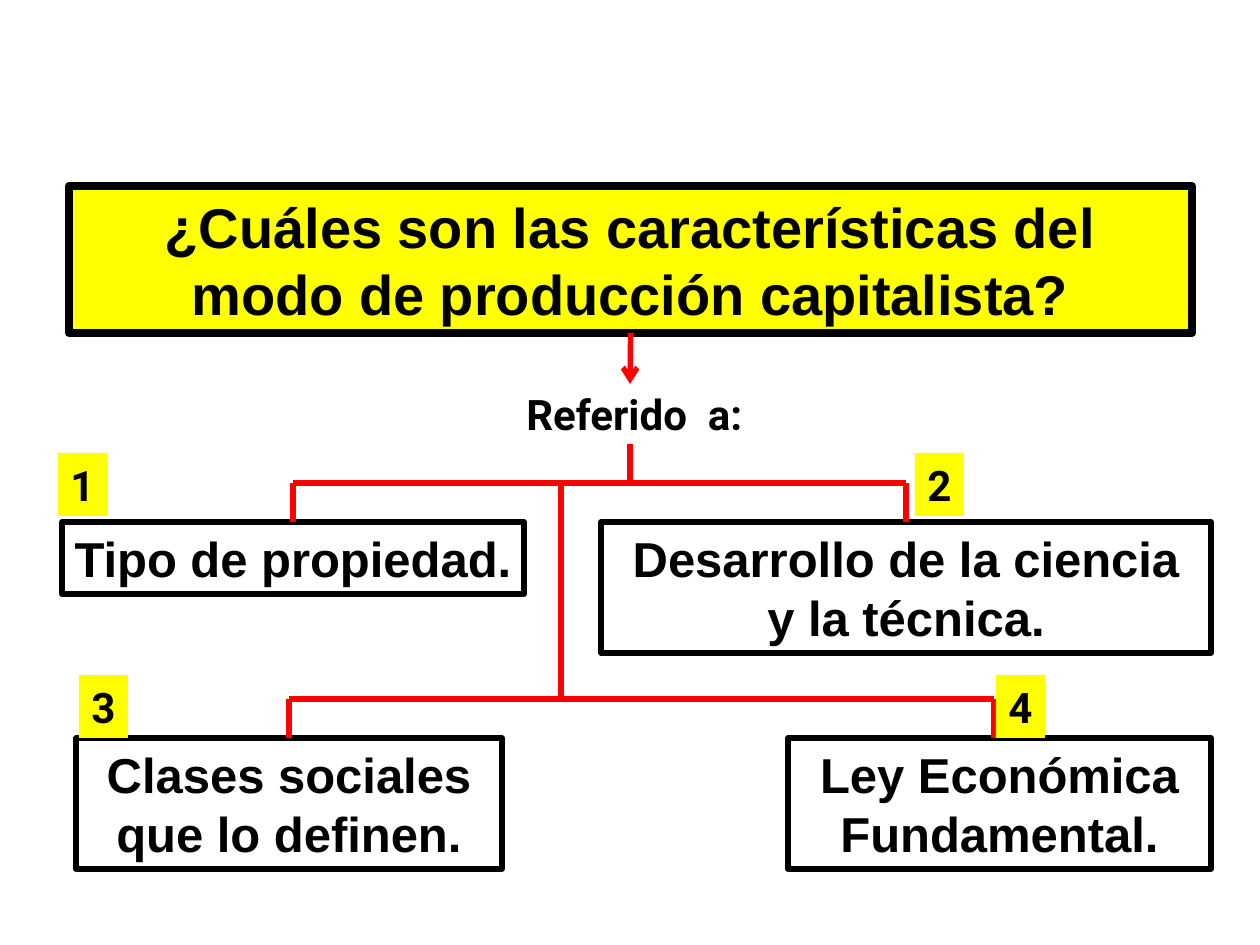
from dataclasses import dataclass

from lxml.etree import SubElement
from pptx import Presentation
from pptx.dml.color import RGBColor
from pptx.enum.shapes import MSO_CONNECTOR as Connector, MSO_SHAPE as Shape
from pptx.enum.text import MSO_ANCHOR as Anchor, MSO_AUTO_SIZE as AutoSize, PP_ALIGN as Align
from pptx.oxml.ns import qn
from pptx.util import Pt

EMU_PER_PX = 914400 / 126
TOP, BOTTOM = 0, 2


@dataclass(frozen=True)
class Theme:
    ink: RGBColor = RGBColor(0, 0, 0)
    highlight: RGBColor = RGBColor(255, 255, 0)
    branch: RGBColor = RGBColor(255, 0, 0)
    heading_font: str = "Arial"
    label_font: str = "Roboto"
    question_size: float = 32
    topic_size: float = 28
    label_size: float = 24
    frame_width: float = 4.5
    line_width: float = 3


def px(*lengths):
    return [round(length * EMU_PER_PX) for length in lengths]


def apply(target, values):
    for name, value in values.items():
        setattr(target, name, value)


class Diagram:
    def __init__(self, slide, theme):
        self.slide, self.theme = slide, theme

    def set_text(self, shape, text, font, size, align=Align.CENTER, wrap=True):
        frame = shape.text_frame
        frame.text = text
        apply(frame, {"word_wrap": wrap, "auto_size": AutoSize.SHAPE_TO_FIT_TEXT,
                      "vertical_anchor": Anchor.TOP})
        paragraph = frame.paragraphs[0]
        paragraph.alignment = align
        apply(paragraph.font, {"name": font, "size": Pt(size), "bold": True})
        paragraph.font.color.rgb = self.theme.ink

    def outline(self, shape, width):
        shape.line.color.rgb = self.theme.ink
        shape.line.width = Pt(width)

    def highlight(self, shape):
        shape.fill.solid()
        shape.fill.fore_color.rgb = self.theme.highlight

    def rectangle(self, *box):
        shape = self.slide.shapes.add_shape(Shape.RECTANGLE, *px(*box))
        shape.shadow.inherit = False
        return shape

    def question(self, text, *box):
        title = self.slide.shapes.title
        apply(title, dict(zip(("left", "top", "width", "height"), px(*box))))
        self.highlight(title)
        self.outline(title, self.theme.frame_width)
        self.set_text(title, text, self.theme.heading_font, self.theme.question_size)
        return title

    def topic(self, text, box, wrap):
        shape = self.rectangle(*box)
        shape.fill.background()
        self.outline(shape, self.theme.line_width)
        self.set_text(shape, text, self.theme.heading_font, self.theme.topic_size, wrap=wrap)
        return shape

    def label(self, shape, text):
        self.set_text(shape, text, self.theme.label_font, self.theme.label_size,
                      Align.LEFT, False)

    def caption(self, text, *box):
        self.label(self.slide.shapes.add_textbox(*px(*box)), text)

    def number(self, text, left, top):
        shape = self.rectangle(left, top, 49, 63)
        self.highlight(shape)
        shape.line.fill.background()
        self.label(shape, text)

    def line(self, x1, y1, x2, y2, start=None, end=None, arrow=False):
        connector = self.slide.shapes.add_connector(Connector.STRAIGHT, *px(x1, y1, x2, y2))
        connector.line.color.rgb = self.theme.branch
        connector.line.width = Pt(self.theme.line_width)
        properties = connector._element.spPr
        if arrow:
            SubElement(properties.find(qn("a:ln")), qn("a:tailEnd"), type="arrow")
        SubElement(properties, qn("a:effectLst"))
        if start is not None:
            connector.begin_connect(start, BOTTOM)
        if end is not None:
            connector.end_connect(end, TOP)


def main():
    deck = Presentation()
    deck.slide_width, deck.slide_height = px(1260, 945)
    diagram = Diagram(deck.slides.add_slide(deck.slide_layouts[5]), Theme())

    # Question and its lead-in
    question = diagram.question(
        "¿Cuáles son las características del modo de producción capitalista?",
        69, 186, 1123, 147)
    diagram.caption("Referido  a:", 514, 382, 262, 63)

    # Rows of topics: text, box, wrap, x of a branch that misses the middle
    upper_row = [
        ("Tipo de propiedad.", (62, 522, 462, 72), False, None),
        ("Desarrollo de la ciencia y la técnica.", (601, 522, 610, 131), True, None),
    ]
    lower_row = [
        ("Clases sociales que lo definen.", (76, 738, 426, 131), True, None),
        ("Ley Económica Fundamental.", (788, 738, 423, 131), True, 994),
    ]
    drop = 39
    bus_heights = []
    for row in (upper_row, lower_row):
        row_top = row[0][1][1]
        bus_y = row_top - drop
        bus_heights.append(bus_y)
        branch_xs = []
        for text, box, wrap, branch_x in row:
            topic = diagram.topic(text, box, wrap)
            joined = topic if branch_x is None else None
            x = branch_x or box[0] + box[2] / 2
            diagram.line(x, bus_y, x, row_top, end=joined)
            branch_xs.append(x)
        diagram.line(branch_xs[0], bus_y, branch_xs[1], bus_y)

    # Trunk between the rows, stem and arrow
    upper_bus, lower_bus = bus_heights
    diagram.line(561, upper_bus, 561, lower_bus)
    diagram.line(630, upper_bus - drop, 630, upper_bus)
    diagram.line(630, 333, 630, 384, start=question, arrow=True)

    # Topic numbers
    number_places = [(58, 453), (915, 453), (79, 675), (996, 675)]
    for order, place in enumerate(number_places, 1):
        diagram.number(str(order), *place)

    deck.save("out.pptx")


if __name__ == "__main__":
    main()
